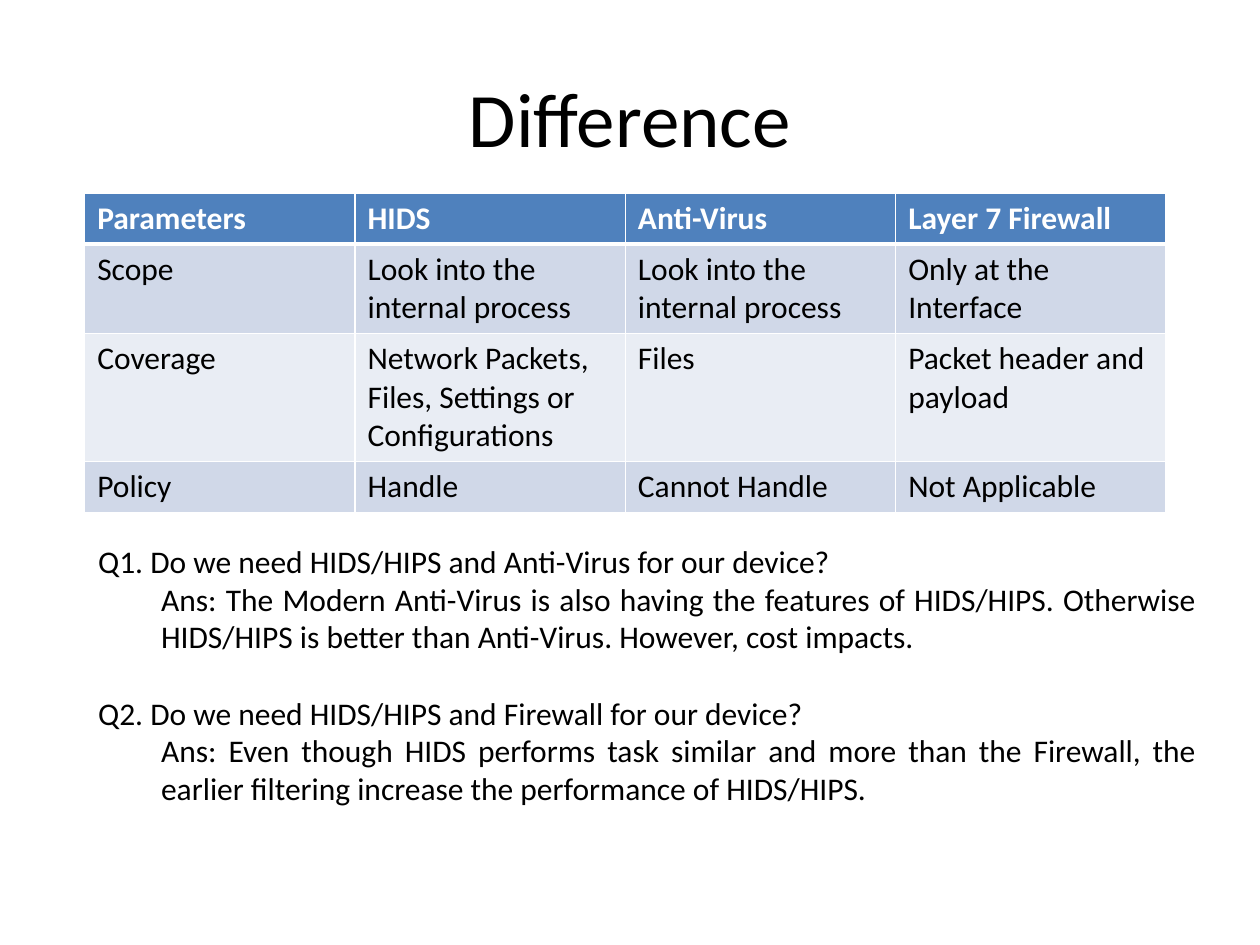
import pptx
import pptx.dml.color
import pptx.enum.text
import pptx.oxml
import pptx.oxml.ns
import pptx.util

Pt = pptx.util.Pt
ALIGN = pptx.enum.text.PP_ALIGN
ANCHOR = pptx.enum.text.MSO_ANCHOR
FONT = "Calibri"
COLORS = {
    "text": "000000",
    "header": "4F81BD",
    "header_text": "FFFFFF",
    "odd_row": "D0D8E8",
    "even_row": "E9EDF4",
    "border": "FFFFFF",
}

COMPARISON = [
    ["Parameters", "HIDS", "Anti-Virus", "Layer 7 Firewall"],
    ["Scope", "Look into the internal process",
     "Look into the internal process", "Only at the Interface"],
    ["Coverage", "Network Packets, Files, Settings or Configurations",
     "Files", "Packet header and payload"],
    ["Policy", "Handle", "Cannot Handle", "Not Applicable"],
]

QUESTIONS = [
    ("Q1. Do we need HIDS/HIPS and Anti-Virus for our device?",
     "Ans: The Modern Anti-Virus is also having the features of HIDS/HIPS. "
     "Otherwise HIDS/HIPS is better than Anti-Virus. However, cost impacts."),
    ("Q2. Do we need HIDS/HIPS and Firewall for our device?",
     "Ans: Even though HIDS performs task similar and more than the Firewall, "
     "the earlier filtering increase the performance of HIDS/HIPS."),
]


def color(name):
    return pptx.dml.color.RGBColor.from_string(COLORS[name])


def style(para, size, color_name="text", bold=False, align=ALIGN.LEFT):
    para.alignment = align
    para.font.name = FONT
    para.font.size = Pt(size)
    para.font.bold = bold
    para.font.color.rgb = color(color_name)


def add_title(page, text):
    title = page.shapes.title
    title.left, title.top, title.width, title.height = Pt(36), Pt(21.6), Pt(648), Pt(90)
    title.text_frame.text = text
    title.text_frame.vertical_anchor = ANCHOR.MIDDLE
    style(title.text_frame.paragraphs[0], 44, align=ALIGN.CENTER)


def set_borders(cell, widths):
    """Draw the cell's sides; widths maps a side (L, R, T, B) to points."""
    properties = cell._tc.get_or_add_tcPr()
    for side, width in widths.items():
        properties.append(pptx.oxml.parse_xml(
            f'<a:ln{side} {pptx.oxml.ns.nsdecls("a")} w="{Pt(width)}"><a:solidFill>'
            f'<a:srgbClr val="{COLORS["border"]}"/></a:solidFill></a:ln{side}>'))


def add_comparison(page, rows):
    column_width, row_height = Pt(154.5), Pt(29.2)
    table = page.shapes.add_table(
        len(rows), len(rows[0]), Pt(48.4), Pt(110.2),
        column_width * len(rows[0]), row_height * len(rows)).table
    for column in table.columns:
        column.width = column_width
    for row_index, texts in enumerate(rows):
        table.rows[row_index].height = row_height
        is_header = row_index == 0
        fill = "header" if is_header else "odd_row" if row_index % 2 else "even_row"
        # The line under the header is the heavy one
        widths = {"L": 1, "R": 1, "T": 3 if row_index == 1 else 1,
                  "B": 3 if is_header else 1}
        for column_index, text in enumerate(texts):
            cell = table.cell(row_index, column_index)
            cell.text = text
            style(cell.text_frame.paragraphs[0], 18,
                  "header_text" if is_header else "text", is_header)
            set_borders(cell, widths)
            cell.fill.solid()
            cell.fill.fore_color.rgb = color(fill)


def add_questions(page, questions):
    box = page.shapes.add_textbox(Pt(49), Pt(306), Pt(642), Pt(181.4))
    frame = box.text_frame
    frame.word_wrap = True
    for index, (question, answer) in enumerate(questions):
        para = frame.add_paragraph() if index else frame.paragraphs[0]
        para.text = question
        style(para, 18, align=ALIGN.JUSTIFY)
        if index:
            para.space_before = Pt(22)
        para = frame.add_paragraph()
        para.text = answer
        para.level = 1
        style(para, 18, align=ALIGN.JUSTIFY)
        indent = para._p.get_or_add_pPr()
        indent.set("marL", str(Pt(36)))
        indent.set("indent", "0")


def main():
    deck = pptx.Presentation()
    deck.slide_width, deck.slide_height = Pt(720), Pt(540)
    page = deck.slides.add_slide(deck.slide_layouts[5])  # Title Only
    add_title(page, "Difference")
    add_comparison(page, COMPARISON)
    add_questions(page, QUESTIONS)
    deck.save("out.pptx")


if __name__ == "__main__":
    main()
